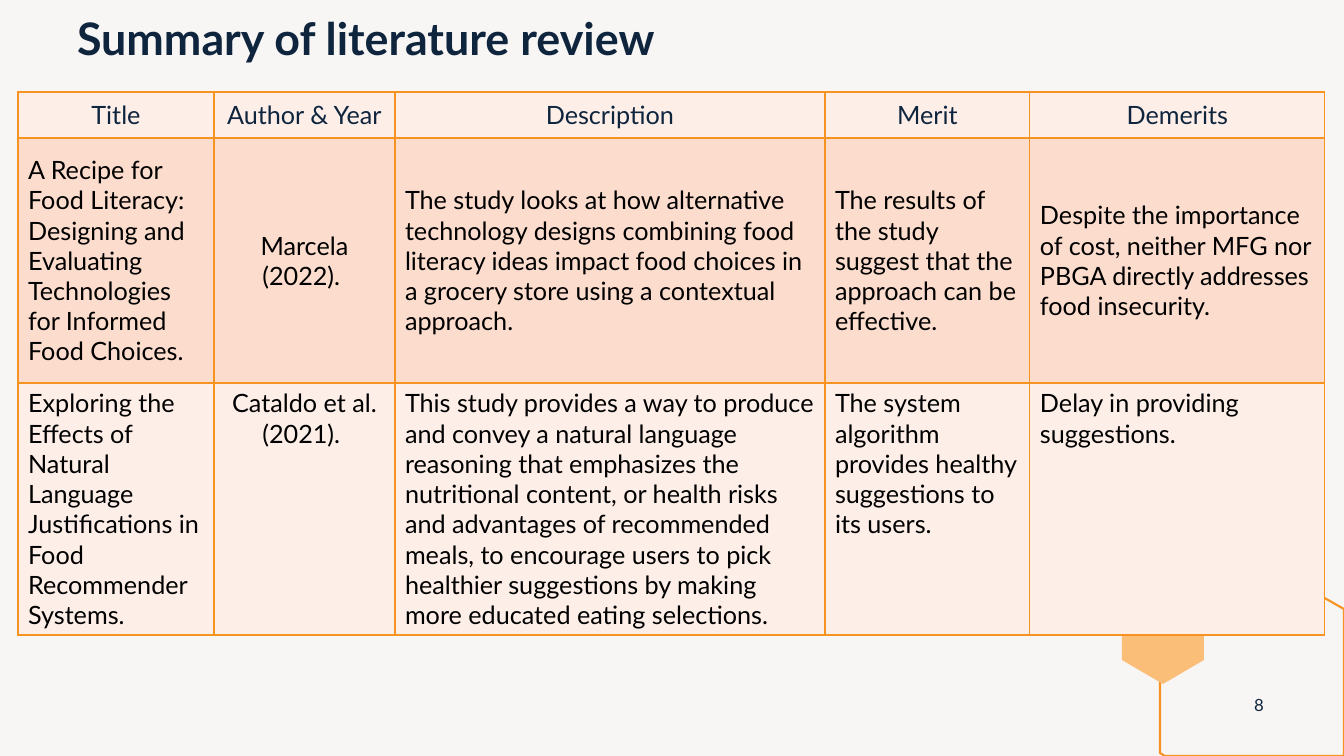
from pptx import Presentation
from pptx import util as u
from pptx.dml.color import RGBColor
from pptx.enum import text
from pptx.oxml import parse_xml
from pptx.oxml.ns import nsdecls

PX = 914400 / 100.8
NAVY, ORANGE, BLACK = "0F253E", "F79320", "000000"


def px(length):
    return u.Emu(round(length * PX))


def paint(target, colour):
    if hasattr(target, "solid"):
        target.solid()
        target = target.fore_color
    target.rgb = RGBColor.from_string(colour)


deck = Presentation()
deck.slide_width, deck.slide_height = px(1344), px(756)
page = deck.slides.add_slide(deck.slide_layouts[5])
paint(page.background.fill, "F8F6F5")

hexagons = [
    ([(1270, 567), (1344, 609), (1344, 756), (1165, 756), (1160, 753), (1160, 630)], None, ORANGE),
    ([(1163, 590), (1204, 613), (1204, 660), (1163, 684), (1122, 660), (1122, 613)], "FABE79", None),
]
for points, fill, line in hexagons:
    builder = page.shapes.build_freeform(*points[0], scale=PX)
    builder.add_line_segments(points[1:], close=True)
    hexagon = builder.convert_to_shape()
    hexagon.shadow.inherit = False
    if fill:
        paint(hexagon.fill, fill)
        hexagon.line.fill.background()
    else:
        hexagon.fill.background()
        paint(hexagon.line.color, line)
        hexagon.line.width = u.Pt(1.5)

title = page.shapes.title
number = page.shapes.add_textbox(px(1234), px(685), px(50), px(40))
title.left, title.top, title.width, title.height = px(67), px(12), px(980), px(50)
labels = [
    (title, "Summary of literature review", 32, True, text.PP_ALIGN.LEFT, text.MSO_ANCHOR.TOP),
    (number, "8", 12, False, text.PP_ALIGN.CENTER, text.MSO_ANCHOR.MIDDLE),
]
for box, words, size, bold, align, anchor in labels:
    frame = box.text_frame
    frame.word_wrap = True
    frame.auto_size = text.MSO_AUTO_SIZE.NONE
    frame.vertical_anchor = anchor
    para = frame.paragraphs[0]
    para.alignment = align
    span = para.add_run()
    span.text = words
    span.font.name, span.font.size, span.font.bold = "Lato", u.Pt(size), bold
    paint(span.font.color, NAVY)
title.text_frame.paragraphs[0].line_spacing = 0.9

columns = [196, 181, 430, 205, 295]
heights = [46, 245, 252]
fills = ["FDEEE8", "FCDCCD", "FDEEE8"]
studies = [
    ["Title", "Author & Year", "Description", "Merit", "Demerits"],
    [
        "A Recipe for Food Literacy: Designing and Evaluating Technologies for Informed Food Choices.",
        "Marcela (2022). ",
        "The study looks at how alternative technology designs combining food literacy ideas "
        "impact food choices in a grocery store using a contextual approach.",
        "The results of the study suggest that the approach can be effective.",
        "Despite the importance of cost, neither MFG nor PBGA directly addresses food insecurity.",
    ],
    [
        "Exploring the Effects of Natural Language Justifications in Food Recommender Systems.",
        "Cataldo et al. (2021). ",
        "This study provides a way to produce and convey a natural language reasoning that "
        "emphasizes the nutritional content, or health risks and advantages of recommended "
        "meals, to encourage users to pick healthier suggestions by making more educated "
        "eating selections.",
        "The system algorithm provides healthy suggestions to its users.",
        "Delay in providing suggestions.",
    ],
]
table = page.shapes.add_table(
    len(heights), len(columns), px(18), px(92), px(sum(columns)), px(sum(heights))
).table
for column, width in zip(table.columns, columns):
    column.width = px(width)
for r, study in enumerate(studies):
    table.rows[r].height = px(heights[r])
    for c, words in enumerate(study):
        cell = table.cell(r, c)
        cell.vertical_anchor = text.MSO_ANCHOR.TOP if r == 2 else text.MSO_ANCHOR.MIDDLE
        para = cell.text_frame.paragraphs[0]
        centred = r == 0 or c == 1
        para.alignment = text.PP_ALIGN.CENTER if centred else text.PP_ALIGN.LEFT
        span = para.add_run()
        span.text = words
        span.font.name, span.font.size, span.font.bold = "Lato", u.Pt(18), False
        paint(span.font.color, BLACK if r else NAVY)
        properties = cell._tc.get_or_add_tcPr()
        for side in ("lnL", "lnR", "lnT", "lnB"):
            properties.append(parse_xml(
                f'<a:{side} {nsdecls("a")} w="12700"><a:solidFill>'
                f'<a:srgbClr val="{ORANGE}"/></a:solidFill></a:{side}>'
            ))
        paint(cell.fill, fills[r])

deck.save("out.pptx")
